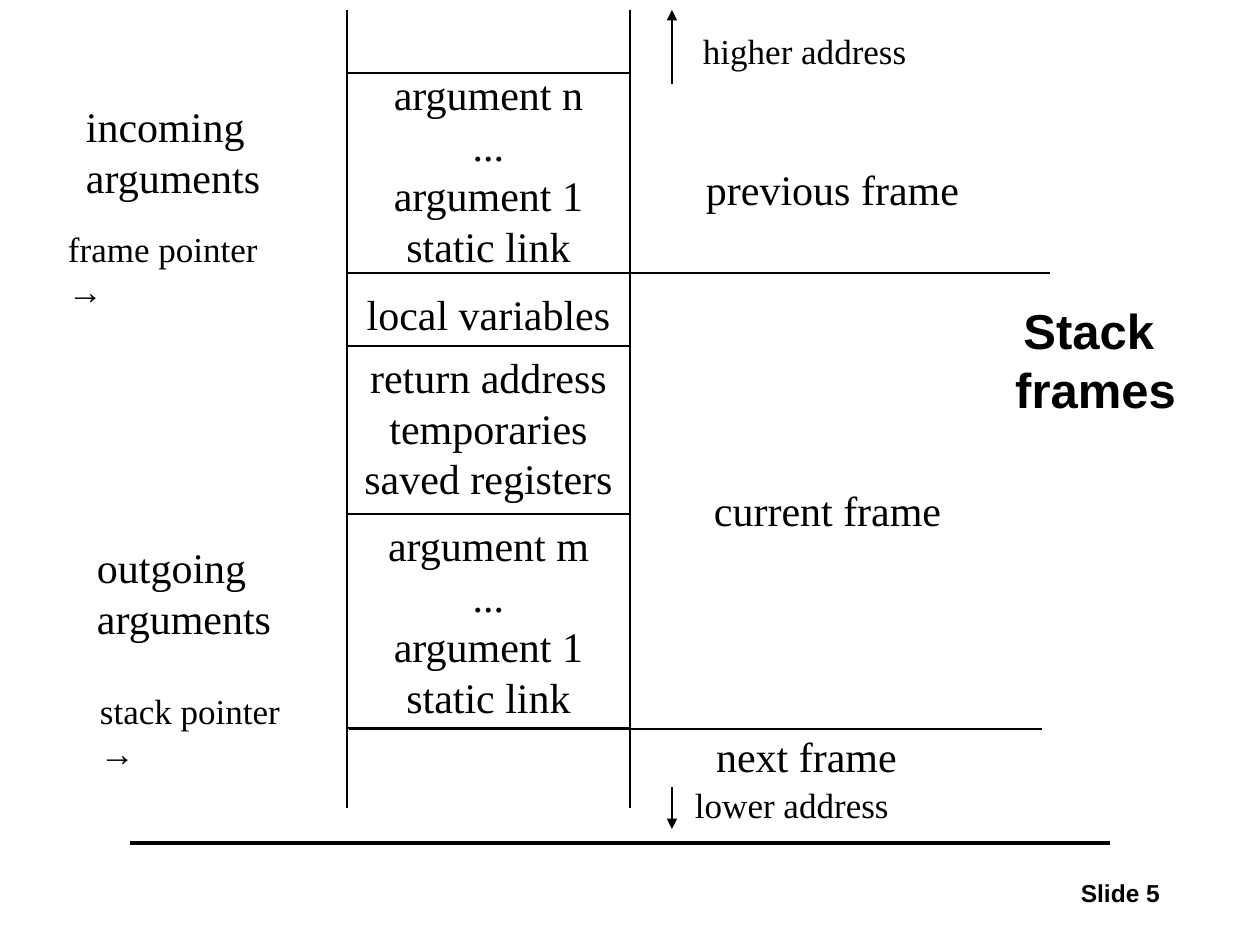
"""Build the stack frames slide."""
from lxml import etree
from pptx import Presentation
from pptx.dml.color import RGBColor
from pptx.enum.shapes import MSO_CONNECTOR, MSO_SHAPE
from pptx.enum.text import MSO_ANCHOR, PP_ALIGN
from pptx.oxml.ns import qn
from pptx.util import Emu, Pt

LEFT, MID, RIGHT = PP_ALIGN.LEFT, PP_ALIGN.CENTER, PP_ALIGN.RIGHT
TOP, CENTRE = MSO_ANCHOR.TOP, MSO_ANCHOR.MIDDLE
STRAIGHT, RECT = MSO_CONNECTOR.STRAIGHT, MSO_SHAPE.RECTANGLE
BLACK = RGBColor(0, 0, 0)
SERIF, SANS = "Times New Roman", "Arial"
SCALE = 914400 / 126
PAD, EDGE = 13, 6
WALL_L, WALL_R = 347, 630
THIN, THICK = 0.74, 2

CELLS = [
    (63, 214, ["argument n", "...", "argument 1", "static link"]),
    (283, 63, ["local variables"]),
    (346, 164, ["return address", "temporaries", "saved registers"]),
]
OUT_CELL = (514, 214, ["argument m", "...", "argument 1", "static link"])

LABELS = [
    (690, 23, 228, 55, 20, ["higher address"]),
    (701, 479, 252, 63, 24, ["current frame"]),
    (682, 777, 219, 55, 20, ["lower address"]),
    (693, 158, 278, 63, 24, ["previous frame"]),
    (703, 725, 205, 63, 24, ["next frame"]),
    (73, 95, 200, 113, 24, ["incoming", "arguments"]),
    (84, 536, 200, 113, 24, ["outgoing", "arguments"]),
]
POINTERS = [(55, 221, "frame pointer"), (87, 683, "stack pointer")]

WALLS = [(10, 73), (63, 305), (273, 514), (725, 808)]
RULES = [
    (WALL_L, WALL_R, 73), (WALL_L, WALL_R, 273), (WALL_L, WALL_R, 346),
    (357, 1050, 273), (349, 1042, 729),
]
ARROWS = [(672, 84, 10), (672, 787, 829)]


def px(n):
    return Emu(round(n * SCALE))


def line(x1, y1, x2, y2, width=THIN, head=False):
    link = slide.shapes.add_connector(STRAIGHT, px(x1), px(y1), px(x2), px(y2))
    link.line.color.rgb = BLACK
    link.line.width = Pt(width)
    if head:
        tip = etree.SubElement(link.line._get_or_add_ln(), qn("a:tailEnd"))
        tip.set("type", "triangle")
    etree.SubElement(link._element.spPr, qn("a:effectLst"))


def style(run, size, font, bold=False):
    run.font.size = Pt(size)
    run.font.name = font
    run.font.bold = bold
    run.font.color.rgb = BLACK


def fill(shape, rows, size, align=LEFT, font=SERIF, bold=False,
         anchor=TOP, sides=(PAD, 0)):
    frame = shape.text_frame
    frame.word_wrap = True
    frame.vertical_anchor = anchor
    frame.margin_left, frame.margin_right = map(px, sides)
    frame.margin_top = frame.margin_bottom = px(EDGE)
    for i, row in enumerate(rows):
        para = frame.add_paragraph() if i else frame.paragraphs[0]
        para.alignment = align
        run = para.add_run()
        run.text = row
        style(run, size, font, bold)
    return frame


def text(x, y, w, h, size, rows, **look):
    box = slide.shapes.add_textbox(px(x), px(y), px(w), px(h))
    return fill(box, rows, size, **look)


deck = Presentation()
deck.slide_width, deck.slide_height = px(1260), px(945)
slide = deck.slides.add_slide(deck.slide_layouts[6])

line(130, 843, 1110, 843, THICK)
text(963, 872, 210, 42, 14, ["Slide 5"], align=RIGHT, font=SANS,
     bold=True, sides=(PAD, PAD))

span = WALL_R - WALL_L
for y, h, rows in CELLS:
    text(WALL_L, y, span, h, 24, rows, align=MID, sides=(PAD, PAD))
y, h, rows = OUT_CELL
cell = slide.shapes.add_shape(RECT, px(WALL_L), px(y), px(span), px(h))
cell.shadow.inherit = False
cell.fill.background()
cell.line.color.rgb = BLACK
cell.line.width = Pt(THIN)
fill(cell, rows, 24, align=MID, sides=(PAD, PAD))

for label in LABELS:
    text(*label)
for x, y, name in POINTERS:
    para = text(x, y, 252, 55, 20, [name]).paragraphs[0]
    para.add_line_break()
    arrow = para.add_run()
    arrow.text = "→"
    style(arrow, 20, SANS)

for y1, y2 in WALLS:
    for x in (WALL_L, WALL_R):
        line(x, y1, x, y2)
for x1, x2, y in RULES:
    line(x1, y, x2, y)
for x, y1, y2 in ARROWS:
    line(x, y1, x, y2, head=True)

text(1003, 294, 185, 131, 28, ["Stack ", "frames"], align=MID, font=SANS,
     bold=True, anchor=CENTRE, sides=(0, 0))

deck.save("out.pptx")
